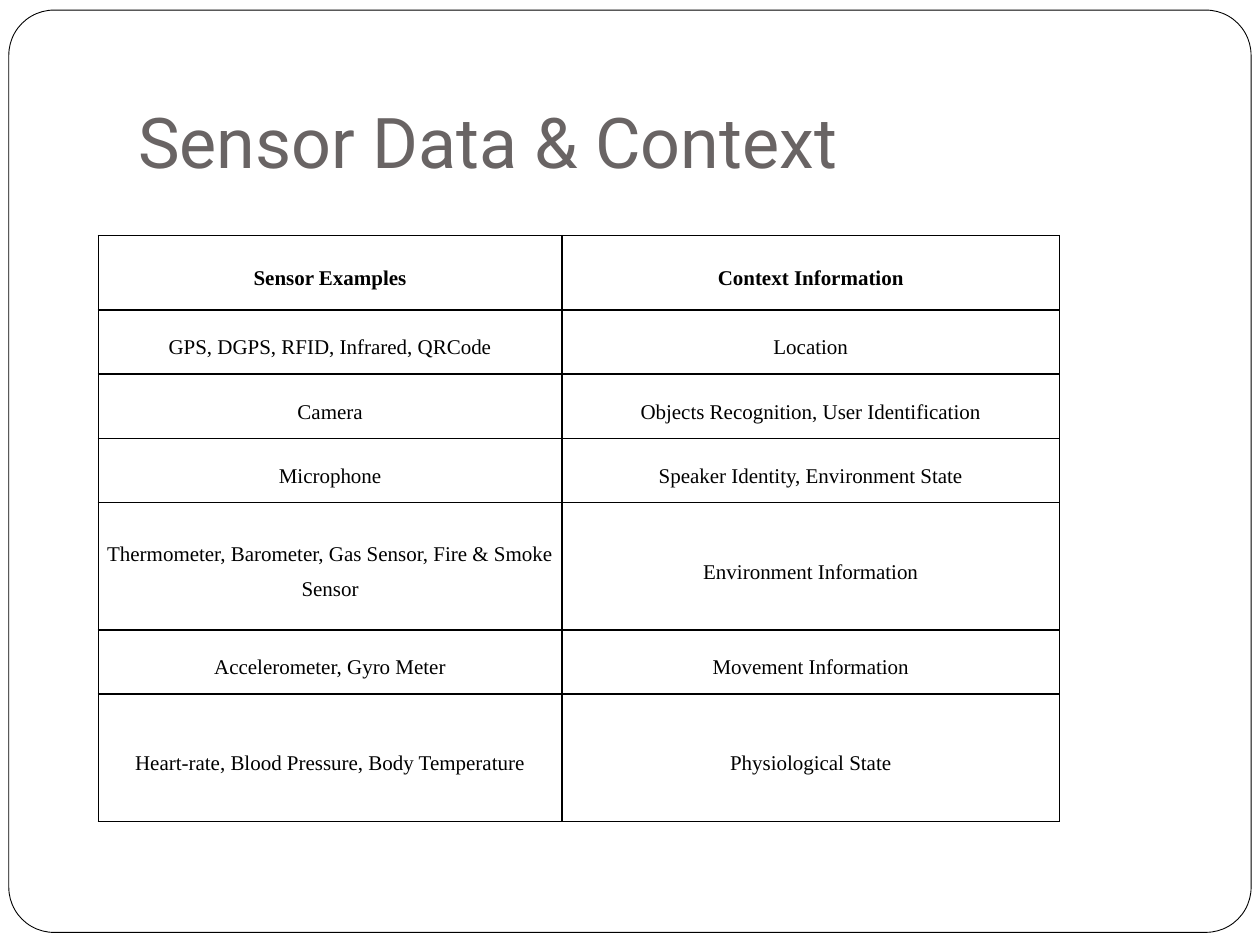
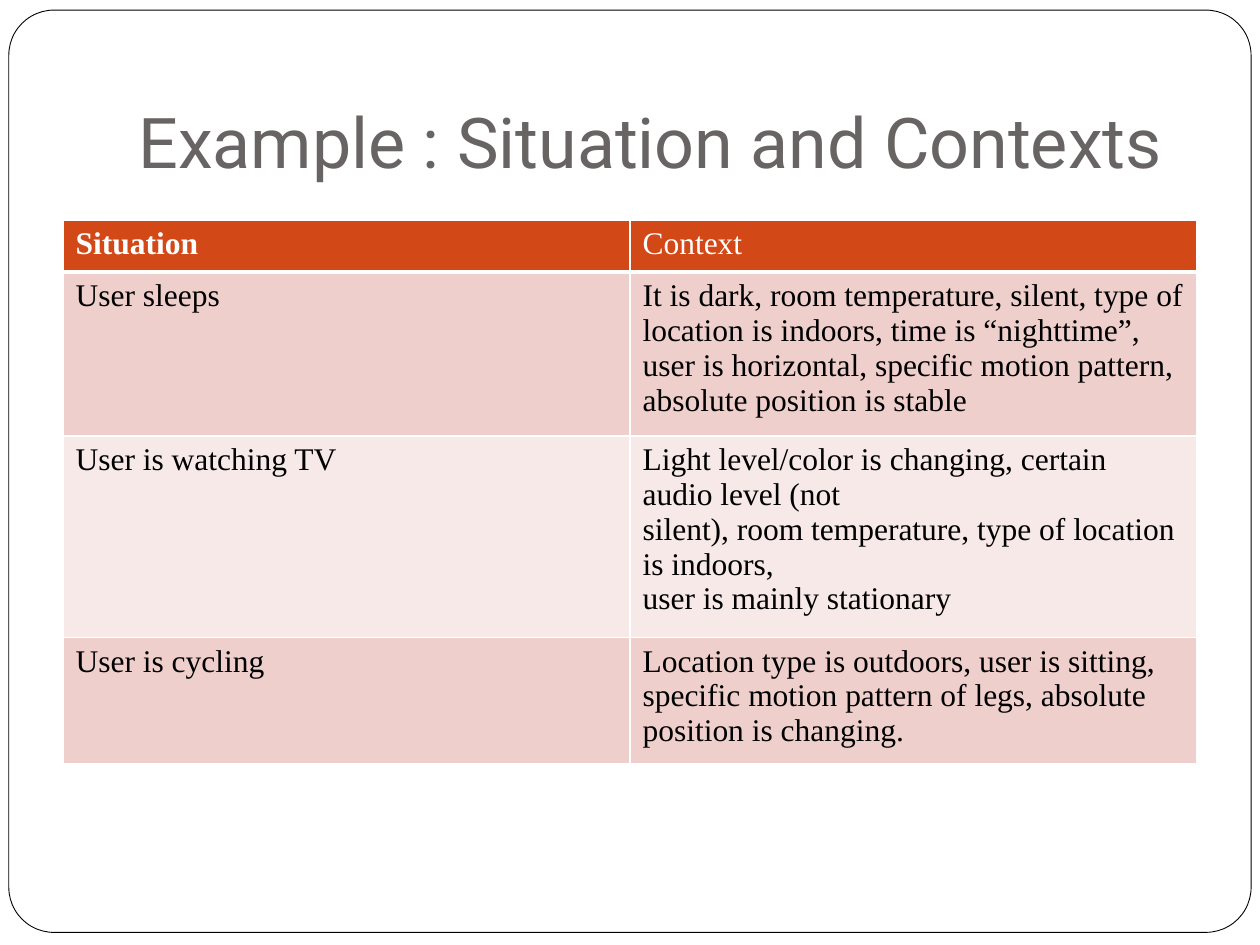
from dataclasses import dataclass

from lxml.etree import SubElement
from pptx import Presentation
from pptx.dml.color import RGBColor as Rgb
from pptx.enum.shapes import MSO_SHAPE as Preset
from pptx.enum.text import MSO_ANCHOR as Anchor, PP_ALIGN as Align
from pptx.oxml.ns import qn
from pptx.util import Inches, Pt


@dataclass(frozen=True)
class Theme:
    """Colours, fonts and type sizes shared by the slides."""
    paper: str = "FFFFFF"
    ink: str = "000000"
    title: str = "696464"
    header: str = "D34817"
    odd_band: str = "EFCFCC"
    even_band: str = "F7E9E8"
    title_font: str = "Roboto"
    body_font: str = "Times New Roman"
    title_size: int = 40
    sensor_size: int = 12
    situation_size: int = 18


THEME = Theme()

SENSORS = [
    ("Sensor Examples", "Context Information"),
    ("GPS, DGPS, RFID, Infrared, QRCode", "Location"),
    ("Camera", "Objects Recognition, User Identification"),
    ("Microphone", "Speaker Identity, Environment State"),
    ("Thermometer, Barometer, Gas Sensor, Fire & Smoke Sensor",
     "Environment Information"),
    ("Accelerometer, Gyro Meter", "Movement Information"),
    ("Heart-rate, Blood Pressure, Body Temperature", "Physiological State"),
]

SITUATIONS = [
    ("Situation", "Context"),
    ("User sleeps",
     "It is dark, room temperature, silent, type of location is indoors, "
     "time is “nighttime”, user is horizontal, specific motion pattern, "
     "absolute position is stable"),
    ("User is watching TV",
     "Light level/color is changing, certain audio level (not\n"
     "silent), room temperature, type of location is indoors,\n"
     "user is mainly stationary"),
    ("User is cycling",
     "Location type is outdoors, user is sitting, specific motion pattern "
     "of legs, absolute position is changing."),
]


def write(frame, text, font, size, color, bold=False, align=Align.LEFT, spacing=None):
    """Write each line of the text as a paragraph with one styled run."""
    for index, line in enumerate(text.split("\n")):
        paragraph = frame.add_paragraph() if index else frame.paragraphs[0]
        paragraph.alignment = align
        paragraph.line_spacing = spacing
        run = paragraph.add_run()
        run.text = line
        run.font.name = font
        run.font.size = Pt(size)
        run.font.bold = bold
        run.font.color.rgb = Rgb.from_string(color)


def add_titled_slide(deck, title):
    """Add a blank slide with the rounded page border and its title."""
    slide = deck.slides.add_slide(deck.slide_layouts[6])
    border = slide.shapes.add_shape(
        Preset.ROUNDED_RECTANGLE, Inches(0.07), Inches(0.08), Inches(9.86), Inches(7.32))
    border.adjustments[0] = 0.049
    border.shadow.inherit = False
    border.fill.solid()
    border.fill.fore_color.rgb = Rgb.from_string(THEME.paper)
    border.line.color.rgb = Rgb.from_string(THEME.ink)
    border.line.width = Pt(0.5)

    heading = slide.shapes.add_textbox(Inches(1), Inches(0.3), Inches(8.5), Inches(1.25))
    frame = heading.text_frame
    frame.word_wrap = True
    frame.vertical_anchor = Anchor.BOTTOM
    frame.margin_bottom = Inches(0.1)
    write(frame, title, THEME.title_font, THEME.title_size, THEME.title)
    return slide


def add_grid(slide, left, top, columns, rows):
    """Add an unbanded table with the given column widths and row heights."""
    table = slide.shapes.add_table(
        len(rows), len(columns), Inches(left), Inches(top),
        Inches(sum(columns)), Inches(sum(rows))).table
    table.first_row = table.horz_banding = False
    for column, width in zip(table.columns, columns):
        column.width = Inches(width)
    for row, height in zip(table.rows, rows):
        row.height = Inches(height)
    return table


def rule_cell(cell, color, bottom=1):
    """Draw the four borders of a cell, one point wide except the bottom."""
    properties = cell._tc.get_or_add_tcPr()
    for side, width in (("L", 1), ("R", 1), ("T", 1), ("B", bottom)):
        edge = SubElement(properties, qn(f"a:ln{side}"), w=str(Pt(width)))
        fill = SubElement(edge, qn("a:solidFill"))
        SubElement(fill, qn("a:srgbClr"), val=color)


def add_sensor_table(slide):
    """Add the ruled table of sensors and the context they reveal."""
    table = add_grid(slide, 0.78, 1.87, [3.68, 3.95],
                     [0.59, 0.51, 0.51, 0.51, 1.01, 0.51, 1.01])
    for row, texts in enumerate(SENSORS):
        for column, text in enumerate(texts):
            cell = table.cell(row, column)
            rule_cell(cell, THEME.ink)
            cell.fill.background()
            cell.vertical_anchor = Anchor.MIDDLE
            cell.margin_left = cell.margin_right = Inches(0.07)
            cell.margin_top = cell.margin_bottom = 0
            write(cell.text_frame, text, THEME.body_font, THEME.sensor_size, THEME.ink,
                  bold=row == 0, align=Align.CENTER, spacing=1.5)


def add_situation_table(slide):
    """Add the banded table of situations and their contexts."""
    table = add_grid(slide, 0.5, 1.75, [4.5, 4.5], [0.41, 1.2, 1.48, 0.93])
    bands = [THEME.header, THEME.odd_band, THEME.even_band, THEME.odd_band]
    for row, (texts, band) in enumerate(zip(SITUATIONS, bands)):
        is_header = row == 0
        for column, text in enumerate(texts):
            cell = table.cell(row, column)
            rule_cell(cell, THEME.paper, bottom=3 if is_header else 1)
            cell.fill.solid()
            cell.fill.fore_color.rgb = Rgb.from_string(band)
            write(cell.text_frame, text, THEME.body_font, THEME.situation_size,
                  THEME.paper if is_header else THEME.ink,
                  bold=is_header and column == 0)


def main():
    """Build both slides and save the deck."""
    deck = Presentation()
    deck.slide_width, deck.slide_height = Inches(10), Inches(7.5)
    add_sensor_table(add_titled_slide(deck, "Sensor Data & Context"))
    add_situation_table(add_titled_slide(deck, "Example : Situation and Contexts"))
    deck.save("out.pptx")


main()
